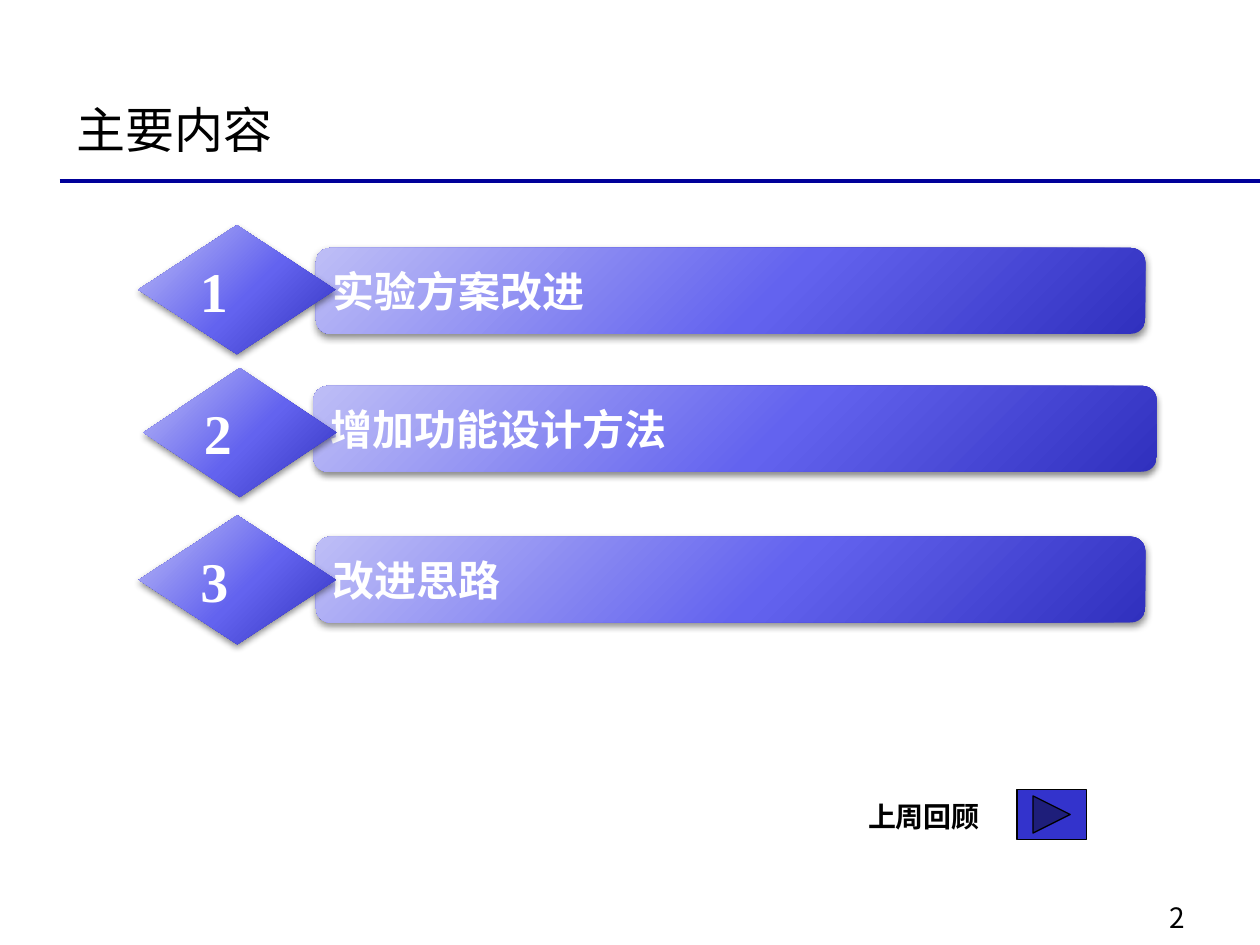
from dataclasses import dataclass

import lxml.etree
import pptx
import pptx.dml.color
import pptx.enum.shapes
import pptx.enum.text
import pptx.oxml
import pptx.oxml.ns
import pptx.util

Cm = pptx.util.Cm
Pt = pptx.util.Pt
Shape = pptx.enum.shapes.MSO_SHAPE


@dataclass(frozen=True)
class Theme:
    cjk_font: str = "Noto Sans CJK SC"
    latin_font: str = "Times New Roman"
    ink: str = "000000"
    on_dark: str = "FFFFFF"
    rule: str = "000099"
    button: str = "3333CC"
    gradient: tuple = ((0, "BEBEF6"), (55, "6363EF"), (100, "3030BE"))
    title_size: int = 28
    number_size: int = 32
    item_size: int = 24
    small_size: int = 16


@dataclass(frozen=True)
class Frame:
    """Left, top, width and height in centimetres."""
    left: float
    top: float
    width: float
    height: float

    def lengths(self) -> tuple:
        return Cm(self.left), Cm(self.top), Cm(self.width), Cm(self.height)


@dataclass(frozen=True)
class AgendaItem:
    number: str
    text: str
    diamond: Frame
    bar: Frame


@dataclass(frozen=True)
class Label:
    text: str
    frame: Frame
    size: int
    bold: bool = False


THEME = Theme()
DIAMOND_HEIGHT = 2.6
BAR_HEIGHT = 1.73

AGENDA = [
    AgendaItem("1", "实验方案改进", Frame(2.79, 4.54, 3.97, DIAMOND_HEIGHT),
               Frame(6.37, 5.0, 16.72, BAR_HEIGHT)),
    AgendaItem("2", "增加功能设计方法", Frame(2.89, 7.42, 3.89, DIAMOND_HEIGHT),
               Frame(6.32, 7.78, 17.0, BAR_HEIGHT)),
    AgendaItem("3", "改进思路", Frame(2.8, 10.39, 3.97, DIAMOND_HEIGHT),
               Frame(6.37, 10.82, 16.72, BAR_HEIGHT)),
]

LABELS = [
    Label("主要内容", Frame(1.3, 1.73, 22.86, 1.75), THEME.title_size),
    Label("上周回顾", Frame(17.25, 15.98, 3.2, 0.94), THEME.small_size, bold=True),
    Label("2", Frame(23.32, 18.03, 1.5, 0.94), THEME.small_size),
]


def rgb(colour: str) -> pptx.dml.color.RGBColor:
    return pptx.dml.color.RGBColor.from_string(colour)


def write_text(shape, text: str, size: int, colour: str, font_name: str, bold: bool) -> None:
    text_frame = shape.text_frame
    text_frame.word_wrap = True
    text_frame.vertical_anchor = pptx.enum.text.MSO_ANCHOR.MIDDLE
    para = text_frame.paragraphs[0]
    para.alignment = pptx.enum.text.PP_ALIGN.LEFT
    para.add_run().text = text
    font = para.font
    font.size, font.bold, font.name = Pt(size), bold, font_name
    font.color.rgb = rgb(colour)
    properties = para._p.pPr.find(pptx.oxml.ns.qn("a:defRPr"))
    lxml.etree.SubElement(properties, pptx.oxml.ns.qn("a:ea"), typeface=THEME.cjk_font)


def add_glossy_shape(page, kind: Shape, frame: Frame, text: str, size: int) -> None:
    """Add a shape with a radial gradient and a soft shadow below it."""
    shape = page.shapes.add_shape(kind, *frame.lengths())
    shape.line.fill.background()
    namespace = pptx.oxml.ns.nsdecls("a")
    stops = "".join(
        f'<a:gs pos="{position * 1000}"><a:srgbClr val="{colour}"/></a:gs>'
        for position, colour in THEME.gradient)
    gradient = pptx.oxml.parse_xml(
        f'<a:gradFill {namespace} rotWithShape="1"><a:gsLst>{stops}</a:gsLst>'
        '<a:path path="circle"><a:fillToRect l="-40000" t="-90000" r="140000" b="190000"/>'
        '</a:path></a:gradFill>')
    shadow = pptx.oxml.parse_xml(
        f'<a:effectLst {namespace}><a:outerShdw blurRad="{Pt(4)}" dist="{Pt(2)}" '
        'dir="5400000" rotWithShape="0"><a:srgbClr val="000000"><a:alpha val="45000"/>'
        '</a:srgbClr></a:outerShdw></a:effectLst>')
    outline = shape.line._ln
    outline.addprevious(gradient)
    outline.addnext(shadow)
    write_text(shape, text, size, THEME.on_dark, THEME.latin_font, bold=True)


def add_agenda_item(page, item: AgendaItem) -> None:
    add_glossy_shape(page, Shape.ROUNDED_RECTANGLE, item.bar, item.text, THEME.item_size)
    add_glossy_shape(page, Shape.DIAMOND, item.diamond, item.number, THEME.number_size)


def add_label(page, label: Label) -> None:
    box = page.shapes.add_textbox(*label.frame.lengths())
    write_text(box, label.text, label.size, THEME.ink, THEME.cjk_font, label.bold)


def add_title_rule(page) -> None:
    rule = page.shapes.add_connector(
        pptx.enum.shapes.MSO_CONNECTOR.STRAIGHT, Cm(1.2), Cm(3.64), Cm(25.4), Cm(3.64))
    rule.line.color.rgb = rgb(THEME.rule)
    rule.line.width = Pt(2.25)
    lxml.etree.SubElement(rule._element.spPr, pptx.oxml.ns.qn("a:effectLst"))


def add_next_button(page, frame: Frame) -> None:
    button = page.shapes.add_shape(Shape.ACTION_BUTTON_FORWARD_OR_NEXT, *frame.lengths())
    button.shadow.inherit = False
    button.fill.solid()
    button.fill.fore_color.rgb = rgb(THEME.button)
    button.line.color.rgb = rgb(THEME.ink)
    button.line.width = Pt(0.75)


def main() -> None:
    deck = pptx.Presentation()
    deck.slide_width, deck.slide_height = Cm(25.4), Cm(19.05)
    page = deck.slides.add_slide(deck.slide_layouts[6])
    add_title_rule(page)
    for item in AGENDA:
        add_agenda_item(page, item)
    add_next_button(page, Frame(20.5, 15.92, 1.4, 1.0))
    for label in LABELS:
        add_label(page, label)
    deck.save("out.pptx")


if __name__ == "__main__":
    main()
